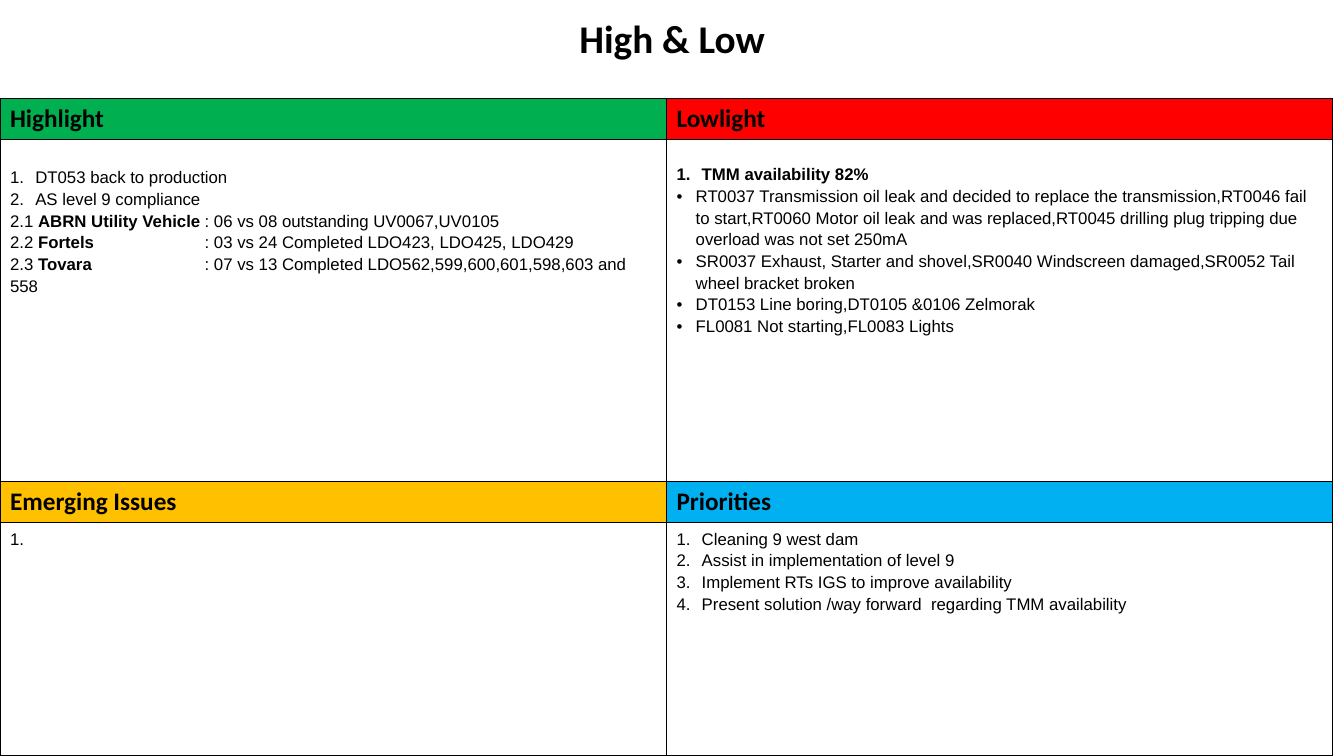
from lxml import etree
from pptx import Presentation
from pptx.dml.color import RGBColor
from pptx.enum.text import PP_ALIGN
from pptx.oxml.ns import qn
from pptx.util import Inches, Pt

CENTER = PP_ALIGN.CENTER
BLACK, WHITE = "000000", "FFFFFF"
COLUMN_WIDTH = 6.61
HEADING_HEIGHT = 0.4
COLON_STOP = 1.93

# Each line is (marker, [(text, bold), ...]); the marker is "1.", "•" or None
HIGHLIGHTS = [
    ("1.", [("DT053 back to production", False)]),
    ("1.", [("AS level 9 compliance", False)]),
    (None, [("2.1 ", False), ("ABRN Utility Vehicle", True),
            ("\t: 06 vs 08 outstanding UV0067,UV0105", False)]),
    (None, [("2.2 ", False), ("Fortels", True),
            ("\t: 03 vs 24 Completed LDO423, LDO425, LDO429", False)]),
    (None, [("2.3 ", False), ("Tovara", True),
            ("\t: 07 vs 13 Completed LDO562,599,600,601,598,603 and 558", False)]),
]
LOWLIGHTS = [
    ("1.", [("TMM availability 82%", True)]),
    ("•", [("RT0037 Transmission oil leak and decided to replace the transmission,"
            "RT0046 fail to start,RT0060 Motor oil leak and was replaced,"
            "RT0045 drilling plug tripping due overload was not set 250mA", False)]),
    ("•", [("SR0037 Exhaust, Starter and shovel,SR0040 Windscreen damaged,"
            "SR0052 Tail wheel bracket broken", False)]),
    ("•", [("DT0153 Line boring,DT0105 &0106 Zelmorak", False)]),
    ("•", [("FL0081 Not starting,FL0083 Lights", False)]),
]
EMERGING_ISSUES = [(None, [("1.", False)])]
PRIORITIES = [
    ("1.", [("Cleaning 9 west dam", False)]),
    ("1.", [("Assist in implementation of level 9", False)]),
    ("1.", [("Implement RTs IGS to improve availability", False)]),
    ("1.", [("Present solution /way forward  regarding TMM availability", False)]),
]

# Quadrants by row: heading, heading colour, lines, top margin of the body
QUADRANTS = [
    [("Highlight", "00B050", HIGHLIGHTS, 0.26),
     ("Lowlight", "FF0000", LOWLIGHTS, 0.23)],
    [("Emerging Issues", "FFC000", EMERGING_ISSUES, 0.05),
     ("Priorities", "00B0F0", PRIORITIES, 0.05)],
]
BODY_HEIGHTS = [3.39, 2.32]


def color(hex_value):
    return RGBColor.from_string(hex_value)


def set_font(paragraph, name, size):
    paragraph.font.name = name
    paragraph.font.size = Pt(size)
    paragraph.font.color.rgb = color(BLACK)


def set_marker(paragraph, marker):
    """Give a list line its number or bullet with a hanging indent."""
    properties = paragraph._p.get_or_add_pPr()
    indent = Inches(0.25 if marker == "1." else 0.19)
    properties.set("marL", str(indent))
    properties.set("indent", str(-indent))
    if marker == "1.":
        etree.SubElement(properties, qn("a:buAutoNum"), type="arabicPeriod")
    else:
        etree.SubElement(properties, qn("a:buFont"), typeface="Arial")
        etree.SubElement(properties, qn("a:buChar"), char=marker)


def set_tab_stop(paragraph, position):
    stops = etree.SubElement(paragraph._p.get_or_add_pPr(), qn("a:tabLst"))
    etree.SubElement(stops, qn("a:tab"), pos=str(Inches(position)), algn="l")


def style_cell(cell, fill_color):
    """Draw the black cell borders, then the fill."""
    properties = cell._tc.get_or_add_tcPr()
    for side in ("lnL", "lnR", "lnT", "lnB"):
        border = etree.SubElement(properties, qn(f"a:{side}"), w=str(Pt(1)))
        fill = etree.SubElement(border, qn("a:solidFill"))
        etree.SubElement(fill, qn("a:srgbClr"), val=BLACK)
    cell.fill.solid()
    cell.fill.fore_color.rgb = color(fill_color)


def fill_heading(cell, heading, fill_color):
    style_cell(cell, fill_color)
    paragraph = cell.text_frame.paragraphs[0]
    paragraph.text = heading
    set_font(paragraph, "Calibri", 18)
    paragraph.font.bold = True


def fill_body(cell, lines, top_margin):
    style_cell(cell, WHITE)
    cell.margin_top = Inches(top_margin)
    cell.margin_right = Inches(0.15)
    frame = cell.text_frame
    for index, (marker, pieces) in enumerate(lines):
        paragraph = frame.add_paragraph() if index else frame.paragraphs[0]
        paragraph.line_spacing = 1.15
        if marker:
            set_marker(paragraph, marker)
        elif len(pieces) > 1:
            set_tab_stop(paragraph, COLON_STOP)
        set_font(paragraph, "Arial", 12)
        for text, bold in pieces:
            run = paragraph.add_run()
            run.text = text
            run.font.bold = bold


def add_quadrants(slide):
    row_heights = [h for body in BODY_HEIGHTS for h in (HEADING_HEIGHT, body)]
    quadrants = slide.shapes.add_table(
        len(row_heights), 2, Inches(0), Inches(0.98),
        Inches(2 * COLUMN_WIDTH), Inches(sum(row_heights))).table
    quadrants.first_row = False
    quadrants.horz_banding = False
    for column in quadrants.columns:
        column.width = Inches(COLUMN_WIDTH)
    for row, height in zip(quadrants.rows, row_heights):
        row.height = Inches(height)
    for band, pair in enumerate(QUADRANTS):
        for side, (heading, fill_color, lines, top_margin) in enumerate(pair):
            fill_heading(quadrants.cell(2 * band, side), heading, fill_color)
            fill_body(quadrants.cell(2 * band + 1, side), lines, top_margin)


def add_title(slide, title):
    frame = slide.shapes.add_textbox(
        Inches(0), Inches(0.09), Inches(13.33), Inches(0.57)).text_frame
    frame.word_wrap = True
    paragraph = frame.paragraphs[0]
    paragraph.text = title
    paragraph.alignment = CENTER
    set_font(paragraph, "Calibri", 28)
    paragraph.font.bold = True


def main():
    presentation = Presentation()
    presentation.slide_width = Inches(13.33)
    presentation.slide_height = Inches(7.5)
    slide = presentation.slides.add_slide(presentation.slide_layouts[6])
    add_quadrants(slide)
    add_title(slide, "High & Low")
    presentation.save("out.pptx")


if __name__ == "__main__":
    main()
